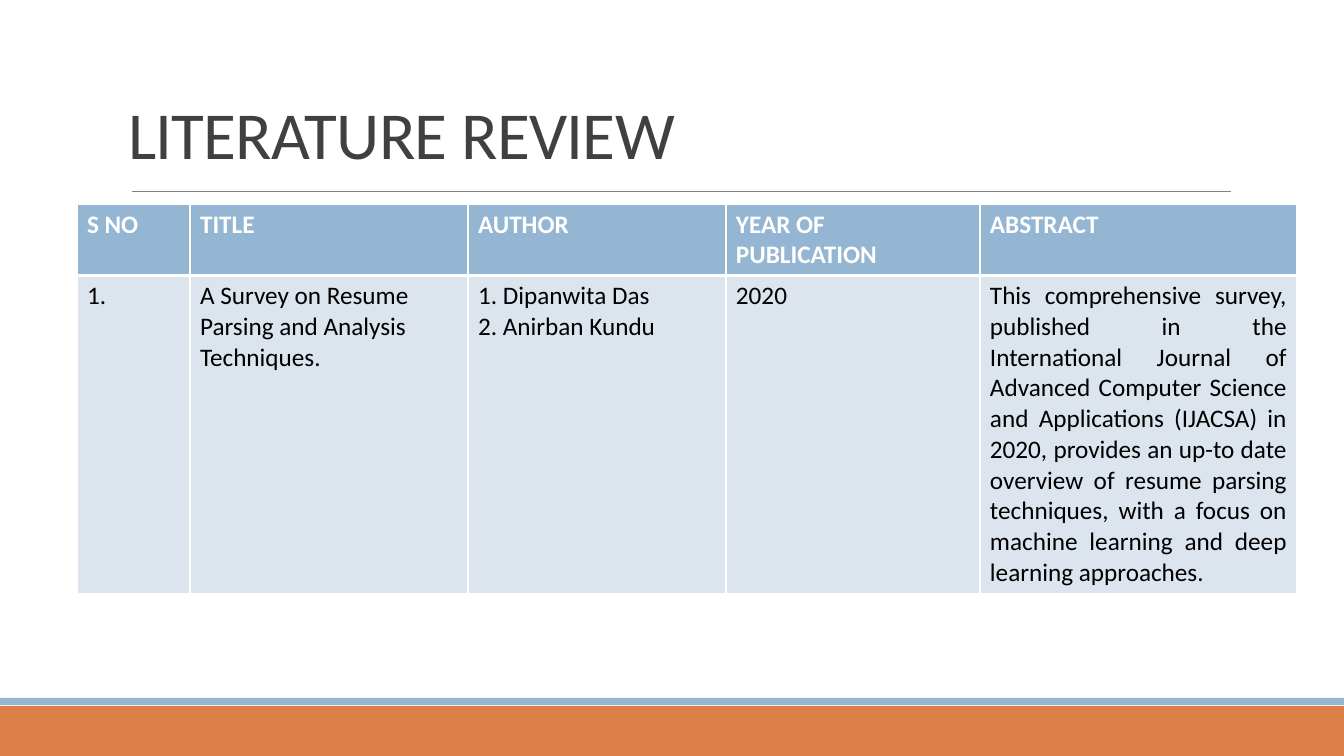
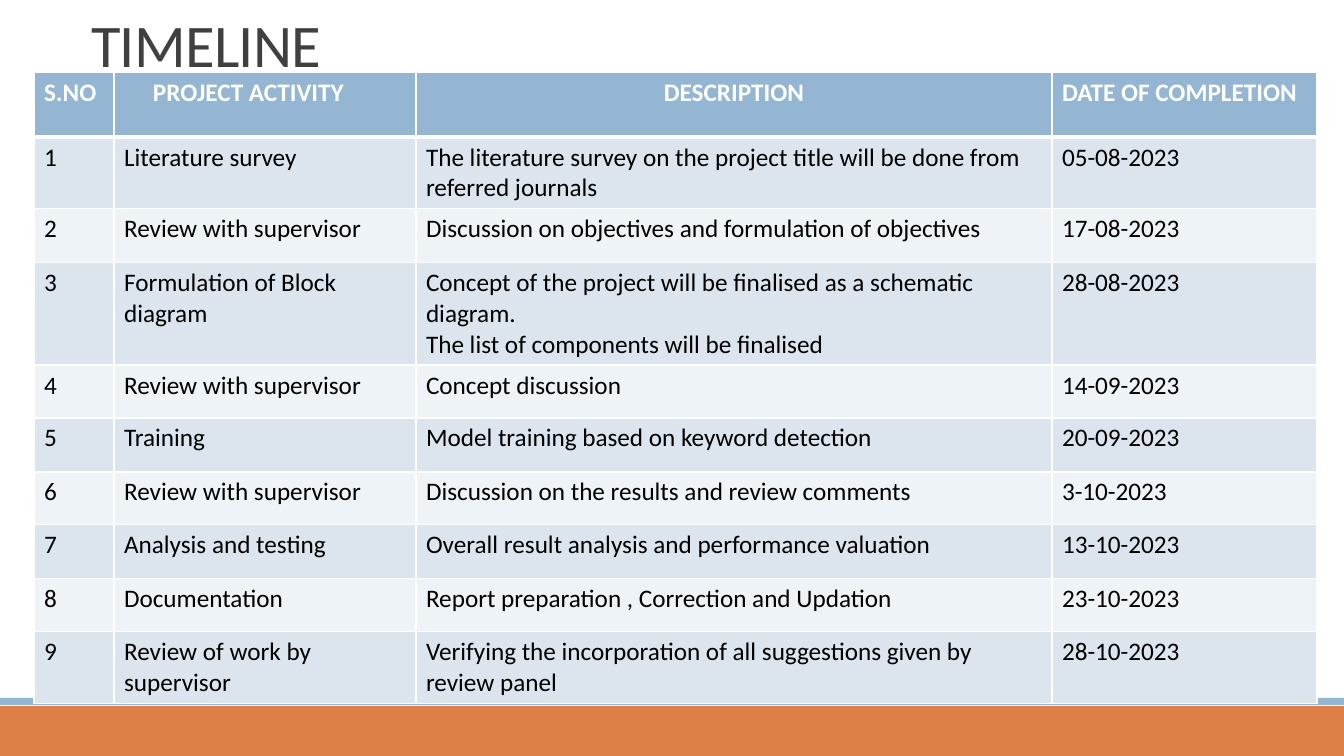
"""Builds the literature review and timeline slides of a project deck."""
from lxml.etree import SubElement
from pptx import Presentation
from pptx.dml.color import RGBColor
from pptx.enum.shapes import MSO_CONNECTOR as Link, MSO_SHAPE as Form
from pptx.enum.text import MSO_ANCHOR as Anchor, MSO_AUTO_SIZE as Fit, PP_ALIGN as Align
from pptx.oxml import parse_xml
from pptx.oxml.ns import nsdecls, qn
from pptx.util import Pt

PX = 9071
FONT = "Calibri"
BLUE, ORANGE, GREY, DARK = "94B6D2", "DD8047", "808080", "404040"
WHITE, BLACK = "FFFFFF", "000000"
BANDS = ["DCE5EE", "EEF3F7"]


def hue(code):
    return RGBColor.from_string(code)


def put(frame, text, size=18, color=BLACK, bold=False, align=Align.LEFT, lead=None, track=0):
    for n, line in enumerate(text.split("\n")):
        para = frame.add_paragraph() if n else frame.paragraphs[0]
        para.alignment = align
        para.line_spacing = lead
        run = para.add_run()
        run.text = line
        font = run.font
        font.name, font.size, font.bold = FONT, Pt(size), bold
        font.color.rgb = hue(color)
        if track:
            run._r.get_or_add_rPr().set("spc", str(track))


pages = [
    {
        "title": "LITERATURE REVIEW",
        "box": (118, 18, 1109, 160),
        "size": 48,
        "spot": (77, 204),
        "cols": [113, 278, 258, 254, 317],
        "rows": [68, 242],
        "cells": [
            ["S NO", "TITLE", "AUTHOR", "YEAR OF PUBLICATION", "ABSTRACT"],
            ["1.", "A Survey on Resume Parsing and Analysis Techniques.",
             "1. Dipanwita Das\n2. Anirban Kundu", "2020",
             "This comprehensive survey, published in the International Journal of "
             "Advanced Computer Science and Applications (IJACSA) in 2020, provides an "
             "up-to date overview of resume parsing techniques, with a focus on machine "
             "learning and deep learning approaches."],
        ],
        "align": {(1, 4): Align.JUSTIFY},
        "inset": {},
    },
    {
        "title": "TIMELINE",
        "box": (81, 7, 1116, 78),
        "size": 43.2,
        "spot": (34, 72),
        "cols": [80, 302, 636, 265],
        "rows": [65, 65, 54, 94, 53, 54, 53, 54, 53, 65],
        "cells": [
            ["S.NO", "PROJECT ACTIVITY", "DESCRIPTION", "DATE OF COMPLETION"],
            ["1", "Literature survey",
             "The literature survey on the project title will be done from referred journals",
             "05-08-2023"],
            ["2", "Review with supervisor",
             "Discussion on objectives and formulation of objectives", "17-08-2023"],
            ["3", "Formulation of Block diagram",
             "Concept of the project will be finalised as a schematic diagram.\n"
             "The list of components will be finalised", "28-08-2023"],
            ["4", "Review with supervisor", "Concept discussion", "14-09-2023"],
            ["5", "Training", "Model training based on keyword detection", "20-09-2023"],
            ["6", "Review with supervisor",
             "Discussion on the results and review comments", "3-10-2023"],
            ["7", "Analysis and testing",
             "Overall result analysis and performance valuation", "13-10-2023"],
            ["8", "Documentation", "Report preparation , Correction and Updation",
             "23-10-2023"],
            ["9", "Review of work by supervisor",
             "Verifying the incorporation of all suggestions given by review panel",
             "28-10-2023"],
        ],
        "align": {(0, 2): Align.CENTER},
        "inset": {(0, 1): 39},
    },
]

deck = Presentation()
deck.slide_width, deck.slide_height = 1344 * PX, 756 * PX
layout = deck.slide_layouts[5]
slides = [deck.slides.add_slide(layout) for page in pages]

shapes = slides[0].shapes
decor = []
for top, height, color in [(706, 50, ORANGE), (698, 7, BLUE)]:
    band = shapes.add_shape(Form.RECTANGLE, 0, top * PX, 1344 * PX, height * PX)
    band.shadow.inherit = False
    band.fill.solid()
    band.fill.fore_color.rgb = hue(color)
    band.line.fill.background()
    decor.append(band)
rule = shapes.add_connector(Link.STRAIGHT, 132 * PX, 191 * PX, 1231 * PX, 191 * PX)
rule.line.color.rgb = hue(GREY)
rule.line.width = Pt(0.5)
SubElement(rule.element.spPr, qn("a:effectLst"))
decor.append(rule)
for n, item in enumerate(decor, 20):
    item.element.xpath(".//p:cNvPr")[0].set("id", str(n))
    layout.shapes.element.append(item.element)

for slide, page in zip(slides, pages):
    title = slide.shapes.title
    title.left, title.top, title.width, title.height = [v * PX for v in page["box"]]
    frame = title.text_frame
    frame.auto_size = Fit.NONE
    frame.vertical_anchor = Anchor.BOTTOM
    put(frame, page["title"], size=page["size"], color=DARK, lead=0.85, track=-50)

    cols, rows = page["cols"], page["rows"]
    left, top = page["spot"]
    table = slide.shapes.add_table(len(rows), len(cols), left * PX, top * PX,
                                   sum(cols) * PX, sum(rows) * PX).table
    for col, width in zip(table.columns, cols):
        col.width = width * PX
    for row, height in zip(table.rows, rows):
        row.height = height * PX

    for r, line in enumerate(page["cells"]):
        head = r == 0
        for c, text in enumerate(line):
            cell = table.cell(r, c)
            cell.fill.solid()
            cell.fill.fore_color.rgb = hue(BLUE if head else BANDS[(r - 1) % 2])
            if (r, c) in page["inset"]:
                cell.margin_left = page["inset"][r, c] * PX
            put(cell.text_frame, text, color=WHITE if head else BLACK, bold=head,
                align=page["align"].get((r, c), Align.LEFT))
            edges = {"L": 1, "R": 1, "T": 3 if r == 1 else 1, "B": 3 if head else 1}
            props = cell._tc.get_or_add_tcPr()
            for n, (side, width) in enumerate(edges.items()):
                props.insert(n, parse_xml(
                    f'<a:ln{side} {nsdecls("a")} w="{Pt(width)}"><a:solidFill>'
                    f'<a:srgbClr val="{WHITE}"/></a:solidFill></a:ln{side}>'))

deck.save("out.pptx")
